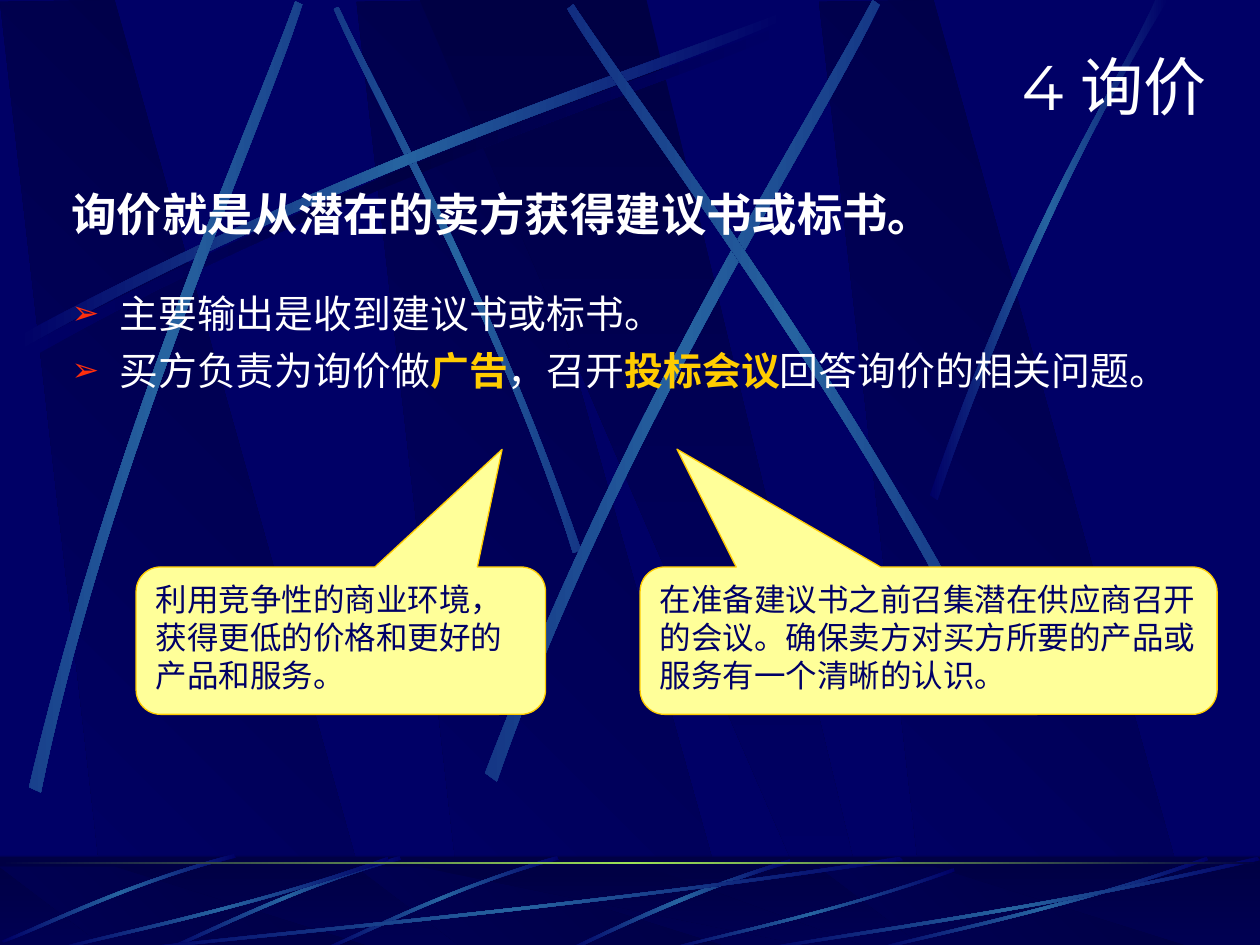
from dataclasses import dataclass

from lxml import etree
from pptx import Presentation
from pptx.dml.color import RGBColor
from pptx.enum.shapes import MSO_SHAPE
from pptx.enum.text import MSO_ANCHOR, PP_ALIGN
from pptx.oxml.ns import qn
from pptx.util import Inches, Pt

RECT = MSO_SHAPE.RECTANGLE
CALLOUT = MSO_SHAPE.ROUNDED_RECTANGULAR_CALLOUT
TOP, MIDDLE = MSO_ANCHOR.TOP, MSO_ANCHOR.MIDDLE
LEFT, RIGHT = PP_ALIGN.LEFT, PP_ALIGN.RIGHT


@dataclass(frozen=True)
class Theme:
    navy: str = "000066"
    dark: str = "000044"
    beam: str = "2663A0"
    rule: str = "9CE157"
    white: str = "FFFFFF"
    gold: str = "FFCC00"
    note: str = "FFFF99"
    bullet: str = "FD2F0D"
    title_font: str = "Montserrat"
    body_font: str = "Arial"
    title_size: float = 36
    lead_size: float = 25.9
    body_size: float = 22.2
    note_size: float = 18


# Outlines are percentages of a box; a beam is two cubic edges of four points each.
BEAM = [(0, 96.3), (43.4, 43), (82.9, 15.4), (99.7, 0),
        (100, 2.2), (83.5, 19), (38.5, 49.8), (.5, 100)]
CLIPPED_TOP = [(0, 99), (40.2, 43.6), (79.4, 16.6), (94.7, 0),
               (100, 0), (51.9, 36.5), (16.4, 81.1), (3.2, 100)]
CLIPPED_BOTTOM = [(99.4, 0), (49.4, 37), (16.1, 82.2), (0, 99),
                  (2.8, 100), (23.3, 75.3), (68.3, 24.7), (100, 4.1)]
SLANT = [(28.5, 99.8), (100, 100), (30.1, 0), (0, .2)]
WEDGE = [(0, 0), (90, 100), (100, 100), (49.9, 0)]


class Deck:
    def __init__(self, theme):
        self.theme = theme
        self.prs = Presentation()
        self.prs.slide_width, self.prs.slide_height = Inches(10), Inches(7.5)
        self.s = self.prs.slides.add_slide(self.prs.slide_layouts[6])
        fill = self.s.background.fill
        fill.solid()
        fill.fore_color.rgb = RGBColor.from_string(theme.navy)

    def gradient(self, sp, colors, angle):
        """Fill with evenly spaced colours; angle runs clockwise on the slide."""
        sp.shadow.inherit = False
        sp.line.fill.background()
        sp.fill.gradient()
        grad = sp.element.spPr.find(qn("a:gradFill"))
        grad.set("rotWithShape", "0")
        stops = grad.find(qn("a:gsLst"))
        for old in list(stops):
            stops.remove(old)
        for i, color in enumerate(colors):
            gs = etree.SubElement(stops, qn("a:gs"), pos=str(100000 * i // (len(colors) - 1)))
            etree.SubElement(gs, qn("a:srgbClr"), val=color)
        grad.find(qn("a:lin")).set("ang", str(angle * 60000))

    def outline(self, box, points, colors, angle):
        x, y, w, h = box
        pts = [(Inches(x + w * px / 100), Inches(y + h * py / 100)) for px, py in points]
        builder = self.s.shapes.build_freeform(*pts[0])
        builder.add_line_segments(pts[1:])
        sp = builder.convert_to_shape()
        self.gradient(sp, colors, angle)
        return sp

    def beam(self, box, rotation=0, flip="", points=BEAM, core=None):
        points = [(100 - x if "h" in flip else x, 100 - y if "v" in flip else y)
                  for x, y in points]
        ends = self.theme.navy
        sp = self.outline(box, points, (ends, core or self.theme.beam, ends), 180)
        sp.rotation = rotation
        self.curve(sp)

    def curve(self, sp):
        """Merge each long edge's three line segments into one cubic curve."""
        lines = list(sp.element.iter(qn("a:lnTo")))
        for edge in (lines[:3], lines[4:7]):
            cubic = etree.Element(qn("a:cubicBezTo"))
            edge[0].addprevious(cubic)
            for line in edge:
                cubic.append(line[0])
                line.getparent().remove(line)

    def bands(self, top, height):
        shades = (self.theme.dark, self.theme.navy)
        for left in (2.83, 0, 6.5):
            self.outline((left, top, 3.02, height), SLANT, shades, 135)
        self.outline((3.33, top, 3.61, height), WEDGE, shades, 90)

    def bar(self, top, height, colors, angle=90):
        sp = self.s.shapes.add_shape(RECT, 0, Inches(top), Inches(10), Inches(height))
        self.gradient(sp, colors, angle)
        return sp

    def veil(self, top, height):
        """Half-transparent dark bar."""
        sp = self.bar(top, height, (self.theme.dark, self.theme.dark))
        sp.fill.solid()
        sp.fill.fore_color.rgb = RGBColor.from_string(self.theme.dark)
        color = sp.element.spPr.find(qn("a:solidFill"))[0]
        etree.SubElement(color, qn("a:alpha"), val="50000")

    def text(self, box, anchor=TOP):
        tf = self.s.shapes.add_textbox(*map(Inches, box)).text_frame
        tf.word_wrap = True
        tf.vertical_anchor = anchor
        return tf

    def paragraph(self, p, runs, size, color, font=None, bold=False, before=0, align=LEFT):
        """Runs are (text, highlighted) pairs."""
        p.alignment = align
        p.space_before = Pt(before)
        p.font.size = Pt(size)
        p.font.name = font or self.theme.body_font
        p.font.bold = bold
        p.font.color.rgb = RGBColor.from_string(color)
        for words, highlighted in runs:
            r = p.add_run()
            r.text = words
            if highlighted:
                r.font.bold = True
                r.font.color.rgb = RGBColor.from_string(self.theme.gold)

    def bullet(self, p):
        pPr = p._p.get_or_add_pPr()
        pPr.set("marL", str(Inches(.38)))
        pPr.set("indent", str(-Inches(.38)))
        marks = [etree.Element(qn("a:buClr")),
                 etree.Element(qn("a:buSzPct"), val="85000"),
                 etree.Element(qn("a:buFont"), typeface=self.theme.body_font),
                 etree.Element(qn("a:buChar"), char="➢")]
        etree.SubElement(marks[0], qn("a:srgbClr"), val=self.theme.bullet)
        at = list(pPr).index(pPr.find(qn("a:defRPr")))
        pPr[at:at] = marks

    def callout(self, left, width, tip, words):
        sp = self.s.shapes.add_shape(CALLOUT, Inches(left), Inches(4.5), Inches(width), Inches(1.17))
        for i, value in enumerate((*tip, .167)):
            sp.adjustments[i] = value
        sp.shadow.inherit = False
        sp.fill.solid()
        sp.fill.fore_color.rgb = RGBColor.from_string(self.theme.note)
        sp.line.color.rgb = RGBColor.from_string(self.theme.gold)
        sp.line.width = Pt(.75)
        tf = sp.text_frame
        tf.word_wrap = True
        tf.vertical_anchor = TOP
        self.paragraph(tf.paragraphs[0], [(words, False)], self.theme.note_size,
                       self.theme.navy, before=4.5)


def main():
    theme = Theme()
    deck = Deck(theme)

    deck.bands(0, 7.52)
    deck.beam((.2, .18, 6.08, 2.67), core=theme.dark)
    deck.beam((1.41, 1.35, 4.42, 1.75), 45, "h")
    deck.beam((.14, .1, 6.08, 2.67))
    deck.beam((-1.71, 1.82, 6.08, 2.67), 311.7)
    deck.beam((2.31, 1.6, 6.24, 3.01), 321.6)
    deck.beam((3.23, 1.52, 6.08, 2.67), 34.8, "h")
    deck.beam((7.38, 0, 1.89, 3.97), points=CLIPPED_TOP)

    deck.bar(6.8, .75, (theme.dark, theme.navy))
    deck.bands(6.88, .66)
    deck.veil(6.79, .75)
    deck.beam((4.48, 6.82, 1.8, .73), points=CLIPPED_BOTTOM)
    for box in ((2.58, 6.76, 1.84, .83), (1.33, 6.76, 1.84, .83), (.05, 6.71, 1.79, .85)):
        deck.beam(box, 314.9, "h")
    for left, top, width in ((1, 6.8, 6.17), (.42, 6.8, 2.67), (5.27, 6.89, 2.31),
                             (6.92, 6.8, 2.67), (6, 6.8, 4)):
        deck.beam((left, top, width, 7.55 - top), flip="hv")
    deck.bar(6.84, .02, (theme.dark, theme.rule, theme.dark), 180)

    title = deck.text((1.17, .33, 8.5, .7), MIDDLE)
    deck.paragraph(title.paragraphs[0], [("4 询价", False)], theme.title_size, theme.white,
                   theme.title_font, align=RIGHT)

    body = deck.text((.47, 1.43, 9.1, 2.03))
    deck.paragraph(body.paragraphs[0], [("询价就是从潜在的卖方获得建议书或标书。", False)],
                   theme.lead_size, theme.white, bold=True, before=7)
    points = [
        (28, [("主要输出是收到建议书或标书。", False)]),
        (6, [("买方负责为询价做", False), ("广告", True), ("，召开", False),
             ("投标会议", True), ("回答询价的相关问题。", False)]),
    ]
    for before, runs in points:
        p = body.add_paragraph()
        deck.paragraph(p, runs, theme.body_size, theme.white, before=before)
        deck.bullet(p)

    deck.callout(1.08, 3.25, (.394, -1.298), "利用竞争性的商业环境，获得更低的价格和更好的产品和服务。")
    deck.callout(5.08, 4.58, (-.436, -1.299),
                 "在准备建议书之前召集潜在供应商召开的会议。确保卖方对买方所要的产品或服务有一个清晰的认识。")
    deck.prs.save("out.pptx")


if __name__ == "__main__":
    main()
